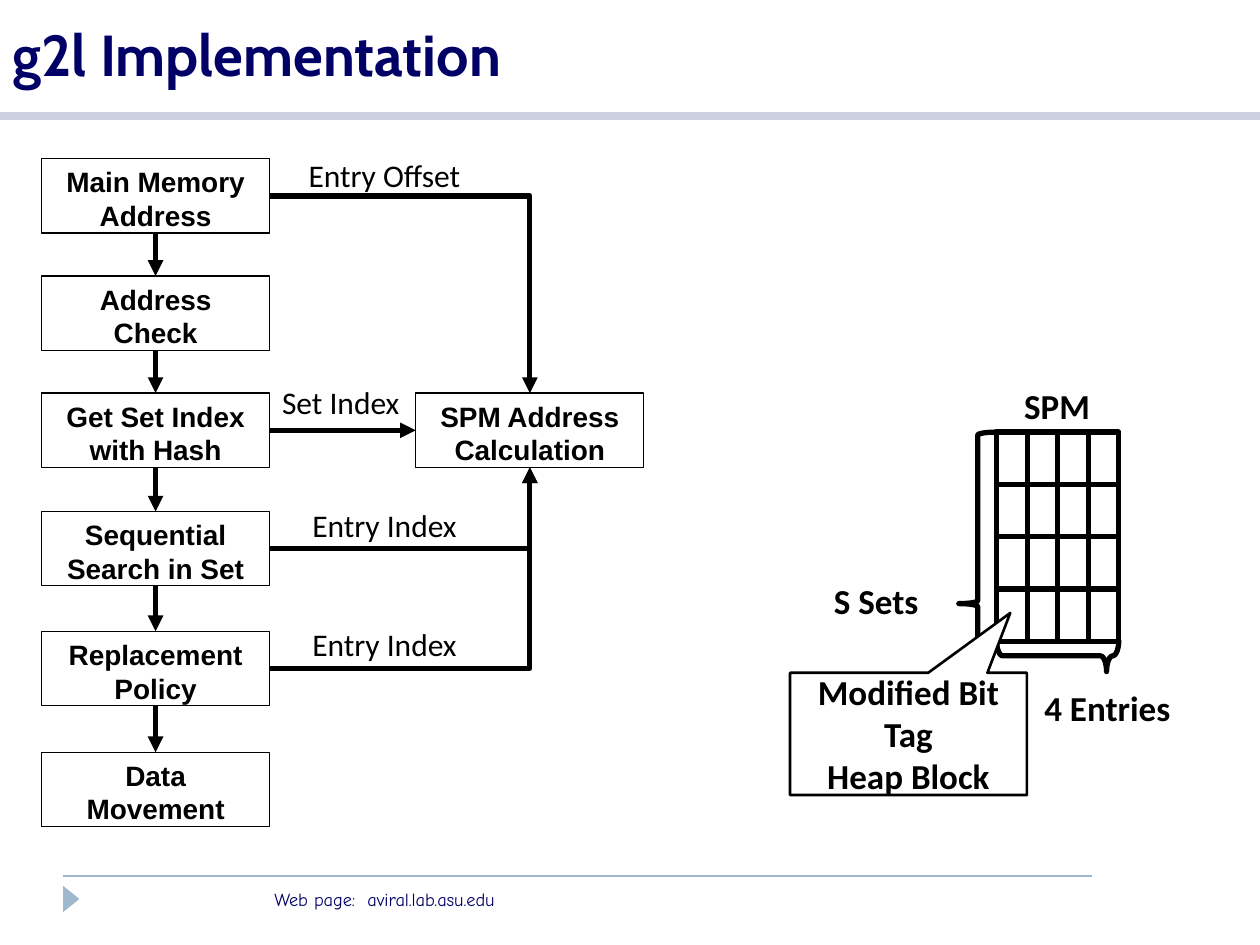
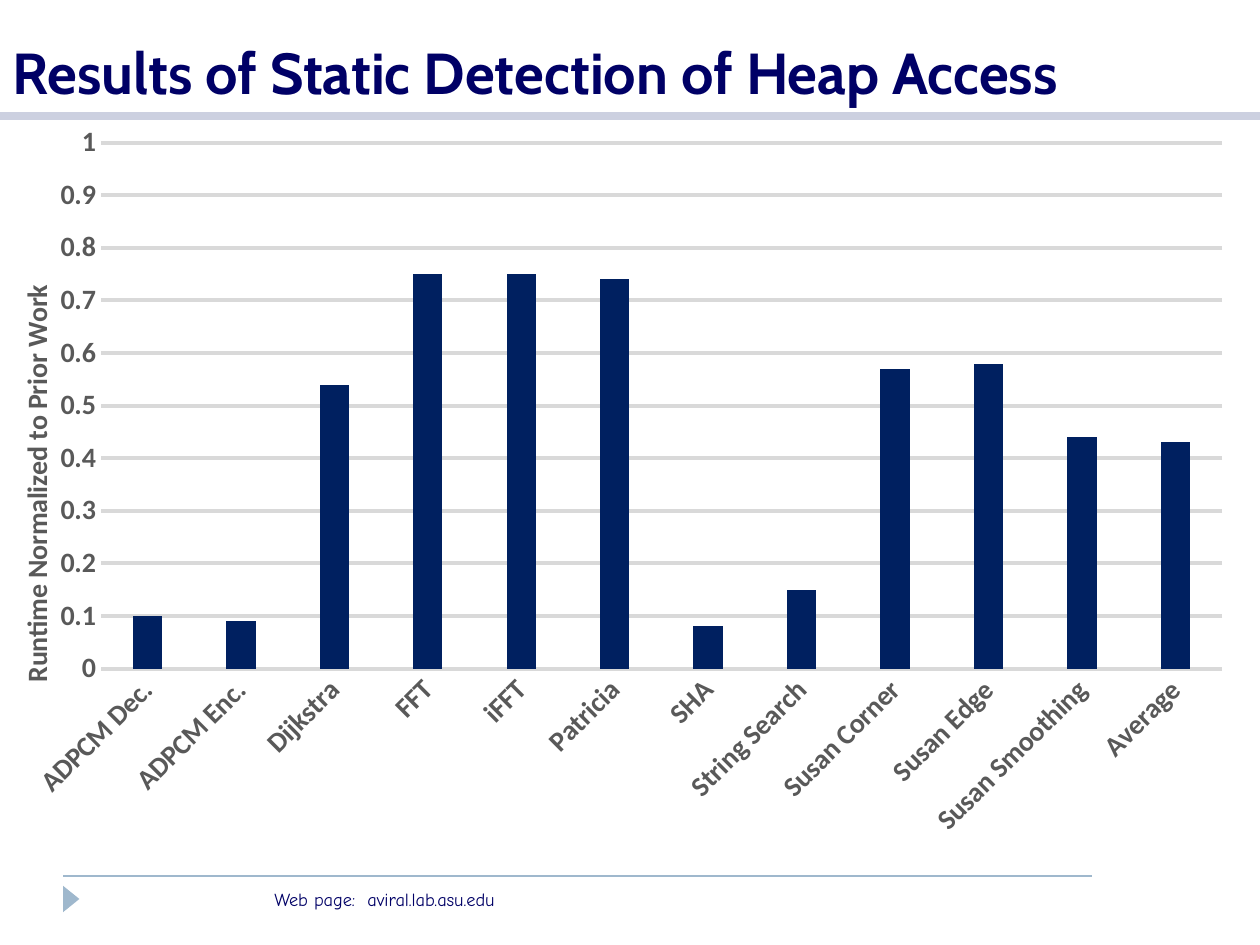
from lxml import etree
from pptx import Presentation
from pptx.chart.data import CategoryChartData
from pptx.dml.color import RGBColor
from pptx.enum.chart import XL_CHART_TYPE, XL_TICK_MARK
from pptx.enum.shapes import MSO_CONNECTOR, MSO_SHAPE
from pptx.enum.text import MSO_ANCHOR, PP_ALIGN
from pptx.oxml.ns import qn
from pptx.util import Inches, Pt

BLACK = RGBColor(0x00, 0x00, 0x00)
WHITE = RGBColor(0xFF, 0xFF, 0xFF)
NAVY = RGBColor(0x00, 0x00, 0x66)
BAND = RGBColor(0xCC, 0xD0, 0xE0)
STEEL = RGBColor(0x9F, 0xB8, 0xCD)
BAR_BLUE = RGBColor(0x00, 0x20, 0x60)
AXIS_GRAY = RGBColor(0x59, 0x59, 0x59)
GRID_GRAY = RGBColor(0xD9, 0xD9, 0xD9)

LEFT, CENTER = PP_ALIGN.LEFT, PP_ALIGN.CENTER
TOP, MIDDLE, BOTTOM = MSO_ANCHOR.TOP, MSO_ANCHOR.MIDDLE, MSO_ANCHOR.BOTTOM
STRAIGHT, ELBOW = MSO_CONNECTOR.STRAIGHT, MSO_CONNECTOR.ELBOW
RECTANGLE, TRIANGLE = MSO_SHAPE.RECTANGLE, MSO_SHAPE.ISOSCELES_TRIANGLE
LEFT_BRACE, CALLOUT = MSO_SHAPE.LEFT_BRACE, MSO_SHAPE.RECTANGULAR_CALLOUT
COLUMNS = XL_CHART_TYPE.COLUMN_CLUSTERED
NO_TICK = XL_TICK_MARK.NONE
SITE_TOP, SITE_LEFT, SITE_BOTTOM, SITE_RIGHT = range(4)

BOX_WIDTH, BOX_HEIGHT = 1.81, 0.59
STEPS = [
    ("Main Memory Address", 1.26),
    ("Address Check", 2.19),
    ("Get Set Index with Hash", 3.12),
    ("Sequential\nSearch in Set", 4.06),
    ("Replacement Policy", 5.01),
    ("Data Movement", 5.97),
]
FLOW_LABELS = [
    ("Entry Offset", 2.35, 1.19, 1.49),
    ("Set Index", 2.14, 2.99, 1.16),
    ("Entry Index", 2.38, 3.97, 1.48),
    ("Entry Index", 2.38, 4.91, 1.48),
]
RUNTIMES = {
    "ADPCM Dec.": 0.1, "ADPCM Enc.": 0.09, "Dijkstra": 0.54, "FFT": 0.75,
    "iFFT": 0.75, "Patricia": 0.74, "SHA": 0.08, "String Search": 0.15,
    "Susan Corner": 0.57, "Susan Edge": 0.58, "Susan Smoothing": 0.44,
    "Average": 0.43,
}


def style_font(font, name, size, color, bold=False):
    """Set the face, size, colour and weight of a font."""
    font.name, font.size, font.bold = name, Pt(size), bold
    font.color.rgb = color


def write_text(shape, text, name, size, color, bold=False, align=LEFT, anchor=TOP):
    """Fill a shape with one paragraph for each line of text."""
    frame = shape.text_frame
    frame.word_wrap = True
    frame.vertical_anchor = anchor
    frame.text = text
    for paragraph in frame.paragraphs:
        paragraph.alignment = align
        style_font(paragraph.font, name, size, color, bold)


def add_text(slide, left, top, width, height, text, *style, **options):
    """Add a text box."""
    box = slide.shapes.add_textbox(
        Inches(left), Inches(top), Inches(width), Inches(height))
    write_text(box, text, *style, **options)


def add_shape(slide, kind, left, top, width, height, fill=None, line_width=None,
              adjustments=(), rotation=0):
    """Add a preset shape without shadow, with black outline if any."""
    shape = slide.shapes.add_shape(
        kind, Inches(left), Inches(top), Inches(width), Inches(height))
    shape.shadow.inherit = False
    shape.rotation = rotation
    for index, value in enumerate(adjustments):
        shape.adjustments[index] = value
    if fill is None:
        shape.fill.background()
    else:
        shape.fill.solid()
        shape.fill.fore_color.rgb = fill
    if line_width is None:
        shape.line.fill.background()
    else:
        shape.line.color.rgb = BLACK
        shape.line.width = Pt(line_width)
    return shape


def style_connector(connector, color, width, arrow=False):
    """Set the stroke of a connector, drop its shadow and add an arrowhead."""
    connector.line.color.rgb = color
    connector.line.width = Pt(width)
    properties = connector._element.spPr
    if arrow:
        line = properties.find(qn("a:ln"))
        etree.SubElement(line, qn("a:tailEnd"), type="triangle")
    etree.SubElement(properties, qn("a:effectLst"))


def add_line(slide, x1, y1, x2, y2, color=BLACK, width=3):
    """Add a plain straight line."""
    line = slide.shapes.add_connector(
        STRAIGHT, Inches(x1), Inches(y1), Inches(x2), Inches(y2))
    style_connector(line, color, width)


def add_arrow(slide, start, start_site, end, end_site, kind=STRAIGHT):
    """Add an arrow glued to two boxes; an elbow turns once."""
    arrow = slide.shapes.add_connector(kind, 0, 0, 0, 0)
    arrow.begin_connect(start, start_site)
    arrow.end_connect(end, end_site)
    if kind == ELBOW:
        arrow._element.spPr.find(qn("a:prstGeom")).set("prst", "bentConnector2")
    style_connector(arrow, BLACK, 3, arrow=True)


def add_flow_box(slide, text, left, top):
    """Add one box of the flow chart."""
    box = add_shape(slide, RECTANGLE, left, top, BOX_WIDTH, BOX_HEIGHT, WHITE, 0.75)
    write_text(box, text, "Arial", 16, BLACK, bold=True, align=CENTER)
    box.text_frame.margin_left = box.text_frame.margin_right = Inches(0.12)
    return box


def add_base_slide(presentation, title, title_height):
    """Add a slide with the shared band, footer and title."""
    slide = presentation.slides.add_slide(presentation.slide_layouts[6])
    add_line(slide, 0.5, 6.95, 8.67, 6.95, STEEL, 1)
    add_line(slide, 0, 0.92, 10, 0.92, BAND, 5)
    add_shape(slide, TRIANGLE, 0.46, 7.07, 0.21, 0.13, STEEL, rotation=90)
    add_text(slide, 2.08, 7, 3.75, 0.28, "Web page:  aviral.lab.asu.edu",
             "Comic Neue", 10.5, NAVY)
    add_text(slide, 0, 0, 10, title_height, title,
             "Cabin", 33, NAVY, bold=True, anchor=BOTTOM)
    return slide


def add_flow_chart(slide):
    """Draw the lookup steps and their inputs to the address calculation."""
    steps = [add_flow_box(slide, text, 0.33, top) for text, top in STEPS]
    memory, _, set_index, search, replacement, _ = steps
    calculation = add_flow_box(slide, "SPM Address Calculation", 3.3, STEPS[2][1])
    for step, following in zip(steps, steps[1:]):
        add_arrow(slide, step, SITE_BOTTOM, following, SITE_TOP)
    add_arrow(slide, set_index, SITE_RIGHT, calculation, SITE_LEFT)
    add_arrow(slide, memory, SITE_RIGHT, calculation, SITE_TOP, ELBOW)
    for step in (search, replacement):
        add_arrow(slide, step, SITE_RIGHT, calculation, SITE_BOTTOM, ELBOW)
    for text, left, top, width in FLOW_LABELS:
        add_text(slide, left, top, width, 0.4, text, "Calibri", 18, BLACK)


def add_spm_grid(slide):
    """Draw the SPM as a grid of sets and entries with its labels."""
    left, top, width, height, cells = 7.91, 3.43, 0.97, 1.66, 4
    add_shape(slide, RECTANGLE, left, top, width, height, WHITE, 3)
    for index in range(1, cells):
        x = left + width * index / cells
        y = top + height * index / cells
        add_line(slide, left, y, left + width, y)
        add_line(slide, x, top, x, top + height)
    add_shape(slide, LEFT_BRACE, 7.61, top, 0.3, height, None, 3, (0.08, 0.82))
    add_shape(slide, LEFT_BRACE, 8.27, 4.72, 0.25, width, None, 3, (0.24, 0.9), 270)
    label = ("Calibri", 20, BLACK, True)
    add_text(slide, 6.52, 4.55, 1.02, 0.44, "S Sets", *label)
    add_text(slide, 8.11, 5.4, 1.36, 0.44, "4 Entries", *label, align=CENTER)
    add_text(slide, 7.94, 3, 0.9, 0.44, "SPM", *label, align=CENTER)
    callout = add_shape(slide, CALLOUT, 6.27, 5.34, 1.88, 0.97, WHITE, 1.5,
                        (0.43, -0.99))
    write_text(callout, "Modified Bit\nTag\nHeap Block", *label,
               align=CENTER, anchor=MIDDLE)


def set_layout(element, index, **values):
    """Give a chart part a manual layout, as child number index."""
    old = element.find(qn("c:layout"))
    if old is not None:
        element.remove(old)
    layout = etree.Element(qn("c:layout"))
    manual = etree.SubElement(layout, qn("c:manualLayout"))
    for name, value in values.items():
        etree.SubElement(manual, qn(f"c:{name}"), val=str(value))
    element.insert(index, layout)


def style_axis(axis):
    """Set the labels and tick marks of an axis."""
    axis.major_tick_mark = axis.minor_tick_mark = NO_TICK
    style_font(axis.tick_labels.font, "Calibri", 16, AXIS_GRAY, True)


def add_runtime_chart(slide):
    """Add the column chart of normalized runtimes."""
    data = CategoryChartData()
    data.categories = list(RUNTIMES)
    data.add_series("Series 1", list(RUNTIMES.values()))
    chart = slide.shapes.add_chart(
        COLUMNS, Inches(0), Inches(0.89), Inches(10), Inches(6.05), data).chart
    chart.has_legend = chart.has_title = False
    style_font(chart.font, "Calibri", 10, BLACK)
    set_layout(chart._chartSpace.chart.plotArea, 0, layoutTarget="inner",
               xMode="edge", yMode="edge", x=0.08, y=0.04, w=0.89, h=0.69)

    plot = chart.plots[0]
    plot.vary_by_categories = False
    plot.gap_width, plot.overlap = 219, -27
    fill = plot.series[0].format.fill
    fill.solid()
    fill.fore_color.rgb = BAR_BLUE

    categories, values = chart.category_axis, chart.value_axis
    style_axis(categories)
    categories.format.line.color.rgb = GRID_GRAY
    categories.format.line.width = Pt(0.75)
    label_body = categories._element.find(qn("c:txPr")).find(qn("a:bodyPr"))
    label_body.set("rot", "-2700000")

    style_axis(values)
    values.minimum_scale, values.maximum_scale, values.major_unit = 0, 1, 0.1
    values.format.line.fill.background()
    grid = values.major_gridlines.format.line
    grid.color.rgb, grid.width = GRID_GRAY, Pt(2.25)
    frame = values.axis_title.text_frame
    frame.text = "Runtime Normalized to Prior Work"
    style_font(frame.paragraphs[0].font, "Calibri", 16, AXIS_GRAY, True)
    title_body = frame._txBody.find(qn("a:bodyPr"))
    title_body.set("rot", "-5400000")
    title_body.set("vert", "horz")
    set_layout(values.axis_title._element, 1,
               xMode="edge", yMode="edge", x=0.01, y=0.22)


def main():
    """Build both slides and save the presentation."""
    presentation = Presentation()
    presentation.slide_width, presentation.slide_height = Inches(10), Inches(7.5)
    implementation = add_base_slide(presentation, "g2l Implementation", 0.75)
    add_flow_chart(implementation)
    add_spm_grid(implementation)
    results = add_base_slide(
        presentation, "Results of Static Detection of Heap Access", 0.89)
    add_runtime_chart(results)
    presentation.save("out.pptx")


if __name__ == "__main__":
    main()
